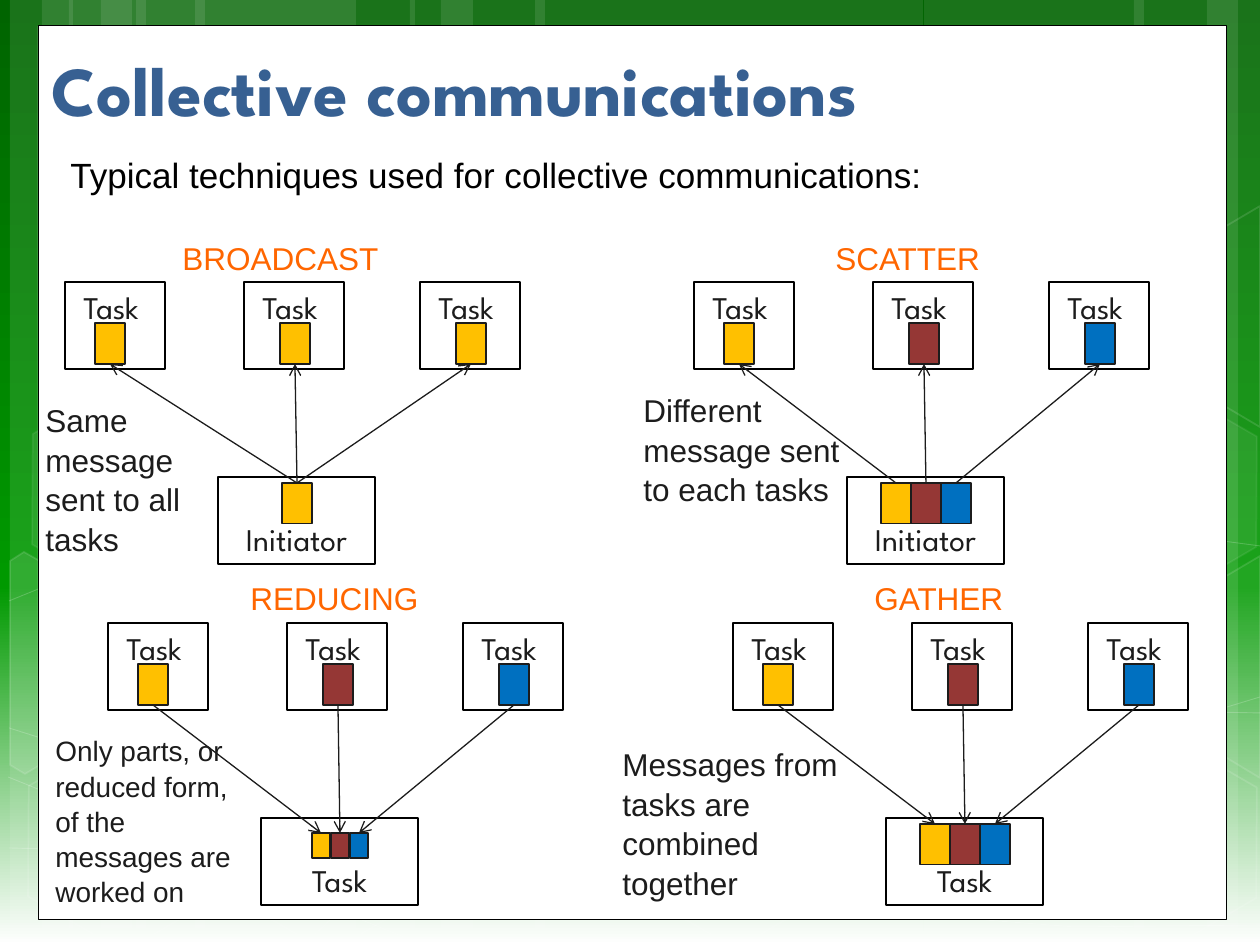
import copy
import pptx
import pptx.util
import pptx.dml.color
import pptx.enum.shapes
import pptx.enum.text
import pptx.oxml
import pptx.oxml.ns

RGB = pptx.dml.color.RGBColor
KIND = pptx.enum.shapes.MSO_SHAPE
ALIGN = pptx.enum.text.PP_ALIGN
ANCHOR = pptx.enum.text.MSO_ANCHOR
Pt = pptx.util.Pt
qn = pptx.oxml.ns.qn

PX = 914400 // 126
WIDE, HIGH = 1260, 945
WHITE = RGB(0xFF, 0xFF, 0xFF)
BLACK = RGB(0, 0, 0)
INK = RGB(0x1C, 0x1C, 0x1C)
TITLE = RGB(0x37, 0x60, 0x92)
ORANGE = RGB(0xFF, 0x66, 0x00)
GOLD = RGB(0xFF, 0xC0, 0x00)
RED = RGB(0x95, 0x37, 0x35)
BLUE = RGB(0x00, 0x70, 0xC0)
DARK = RGB(0x00, 0x64, 0x00)
GREEN = RGB(0x00, 0x99, 0x00)
SANS, HEAD = "Arial", "League Spartan"

# Backdrop: left edge and width of each band
BANDS = [(136, 220), (10, 63), (42, 104), (195, 220), (69, 63), (101, 104),
         (924, 220), (1207, 53), (1134, 104), (535, 388), (410, 63), (441, 104)]
CURVES = [
    [(9, 848), (239, 854), (577, 838), (998, 777), (1260, 697)],
    [(9, 601), (152, 543), (437, 488), (824, 488), (1260, 546)],
    [(8, 777), (421, 944)],
    [(9, 728), (161, 776), (450, 848), (791, 905), (1075, 927), (1260, 925)],
    [(305, 944), (381, 871), (489, 805), (592, 767), (766, 728), (1000, 708),
     (1260, 713)],
]
# Left, top, fill opacity, line opacity
HEXES = [(626, 742, 6, 12), (14, 745, 0, 12), (18, 393, 7, 8),
         (219, 746, 0, 12), (1051, 747, 0, 12), (1051, 396, 7, 8)]
# Hexagons cut by the slide edge: points, fill opacity
CUTS = [
    ([(10, 561), (24, 552), (121, 607), (120, 718), (25, 774), (10, 765)], 10),
    ([(1167, 611), (1260, 556), (1260, 778), (1167, 722)], 4),
    ([(1167, 261), (1260, 206), (1260, 427), (1167, 372)], 0),
]

# Offsets within a panel, from its first task
TASKS = (0, 179, 355)
CHIPS = (30, 215, 391)
MID = 232
MIXED = (GOLD, RED, BLUE)


def px(*nums):
    return [n * PX for n in nums]


def fade(part, alpha):
    """Set the opacity, in percent, of a fill or line colour."""
    tag = next(part.iter(qn("a:srgbClr")))
    pptx.oxml.ns  # namespace helpers
    tag.append(pptx.oxml.parse_xml(
        f'<a:alpha {pptx.oxml.ns.nsdecls("a")} val="{alpha * 1000}"/>'))


def paint(shape, fill, line=None, width=0.75):
    shape.shadow.inherit = False
    if fill is None:
        shape.fill.background()
    else:
        shape.fill.solid()
        shape.fill.fore_color.rgb = fill
    if line is None:
        shape.line.fill.background()
    else:
        shape.line.color.rgb = line
        shape.line.width = Pt(width)
    return shape


def rect(slide, x, y, w, h, *look, kind=KIND.RECTANGLE):
    return paint(slide.shapes.add_shape(kind, *px(x, y, w, h)), *look)


def veil(shape, fill, edge=0, width=1):
    """Paint a shape in see-through white."""
    paint(shape, WHITE if fill else None, WHITE if edge else None, width)
    if fill:
        fade(shape.fill._xPr.find(qn("a:solidFill")), fill)
    if edge:
        fade(shape.line._ln, edge)


def outline(slide, points, close):
    build = slide.shapes.build_freeform(*points[0], scale=PX)
    build.add_line_segments(points[1:], close=close)
    return build.convert_to_shape()


def write(shape, text, size, font, color, bold=False):
    para = shape.text_frame.paragraphs[0]
    para.text = text
    para.font.size = Pt(size)
    para.font.name = font
    para.font.color.rgb = color
    para.font.bold = bold
    return para


def label(slide, x, y, w, h, text, size, color, wrap=False):
    box = slide.shapes.add_textbox(*px(x, y, w, h))
    box.text_frame.word_wrap = wrap
    write(box, text, size, SANS, color).line_spacing = 1.05


def node(slide, x, y, w, text, anchor):
    box = rect(slide, x, y, w, 87, WHITE, BLACK, 1.25)
    box.text_frame.vertical_anchor = anchor
    write(box, text, 18, HEAD, INK).alignment = ALIGN.CENTER


def arrow(slide, root, task, end):
    line = slide.shapes.add_connector(
        pptx.enum.shapes.MSO_CONNECTOR.STRAIGHT, 0, 0, 0, 0)
    line.begin_connect(root, 0)
    line.end_connect(task, 2)
    line.line.color.rgb = INK
    line.line.width = Pt(0.75)
    space = pptx.oxml.ns.nsdecls("a")
    line.line._ln.append(pptx.oxml.parse_xml(f'<a:{end} {space} type="arrow"/>'))
    line._element.spPr.append(pptx.oxml.parse_xml(f"<a:effectLst {space}/>"))


def panel(slide, x, y, name, end, colors=MIXED, merged=None, small=False):
    """Three tasks linked to one root; end is the line end with the arrow."""
    merged = merged or colors
    node(slide, x + 153, y + 195, 157, name, ANCHOR.BOTTOM)
    for dx in TASKS:
        node(slide, x + dx, y, 100, "Task ", ANCHOR.TOP)
    tops = [rect(slide, x + dx, y + 41, 30, 41, color, INK)
            for dx, color in zip(CHIPS, colors)]
    w, h, dy, step = (18, 25, 210, 18.5) if small else (30, 41, 201, 30)
    left = MID - w / 2 - step * (len(merged) - 1) / 2
    roots = [rect(slide, x + round(left + i * step), y + dy, w, h, color, INK)
             for i, color in enumerate(merged)]
    for i, top in enumerate(tops):
        arrow(slide, roots[i % len(roots)], top, end)


def backdrop(slide):
    fill = slide.background.fill
    fill.gradient()
    fill.gradient_angle = 270
    stops = next(slide._element.iter(qn("a:gsLst")))
    stops.append(copy.deepcopy(stops[0]))
    for stop, place, color in zip(fill.gradient_stops, (0, 0.62, 1),
                                  (DARK, GREEN, WHITE)):
        stop.position = place
        stop.color.rgb = color
    for x, w in BANDS:
        veil(rect(slide, x, 0, w, HIGH, WHITE), 10)
    for points in CURVES:
        veil(outline(slide, points, False), 0, 20, 0.5)
    for x, y, fill, edge in HEXES:
        hexa = rect(slide, x, y, 220, 192, WHITE, kind=KIND.HEXAGON)
        hexa.adjustments[0] = 0.285
        hexa.rotation = 30
        veil(hexa, fill, edge)
    for points, fill in CUTS:
        veil(outline(slide, points, True), fill, 12)
    rect(slide, 38, 26, 1189, 894, WHITE, BLACK, 0.5)


def main():
    deck = pptx.Presentation()
    deck.slide_width, deck.slide_height = px(WIDE, HIGH)
    slide = deck.slides.add_slide(deck.slide_layouts[6])
    backdrop(slide)

    # Heading
    title = slide.shapes.add_textbox(*px(39, 40, 1221, 97))
    title.text_frame.word_wrap = True
    title.text_frame.vertical_anchor = ANCHOR.BOTTOM
    write(title, "Collective communications", 40, HEAD, TITLE, True)
    label(slide, 58, 145, 883, 55,
          "Typical techniques used for collective communications:", 20, BLACK)

    # Diagrams
    panel(slide, 65, 282, "Initiator", "tailEnd", (GOLD,) * 3, (GOLD,))
    panel(slide, 694, 282, "Initiator", "tailEnd")
    panel(slide, 108, 623, "Task", "headEnd", small=True)
    panel(slide, 733, 623, "Task", "headEnd")

    # Names
    for x, y, w, text in [(170, 231, 223, "BROADCAST"), (823, 231, 171, "SCATTER"),
                          (238, 571, 195, "REDUCING"), (862, 571, 155, "GATHER")]:
        label(slide, x, y, w, 50, text, 18, ORANGE)

    # Remarks
    for x, y, w, h, size, text in [
            (33, 393, 184, 165, 18, "Same message sent to all tasks"),
            (631, 383, 252, 127, 18, "Different message sent to each tasks"),
            (43, 726, 218, 183, 16,
             "Only parts, or reduced form, of the messages are worked on"),
            (610, 737, 252, 165, 18, "Messages from tasks are combined together")]:
        label(slide, x, y, w, h, text, size, INK, True)

    deck.save("out.pptx")


if __name__ == "__main__":
    main()
